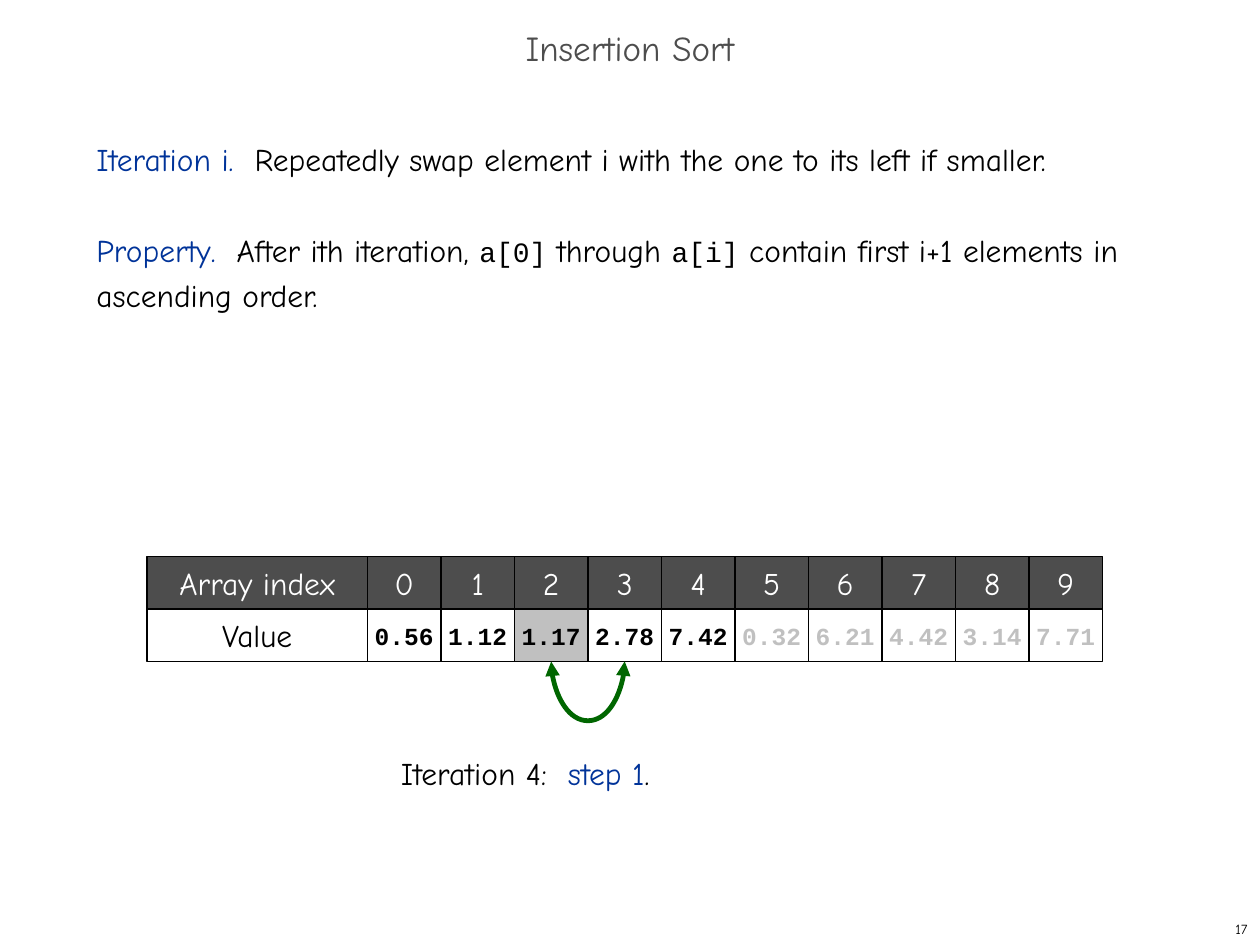
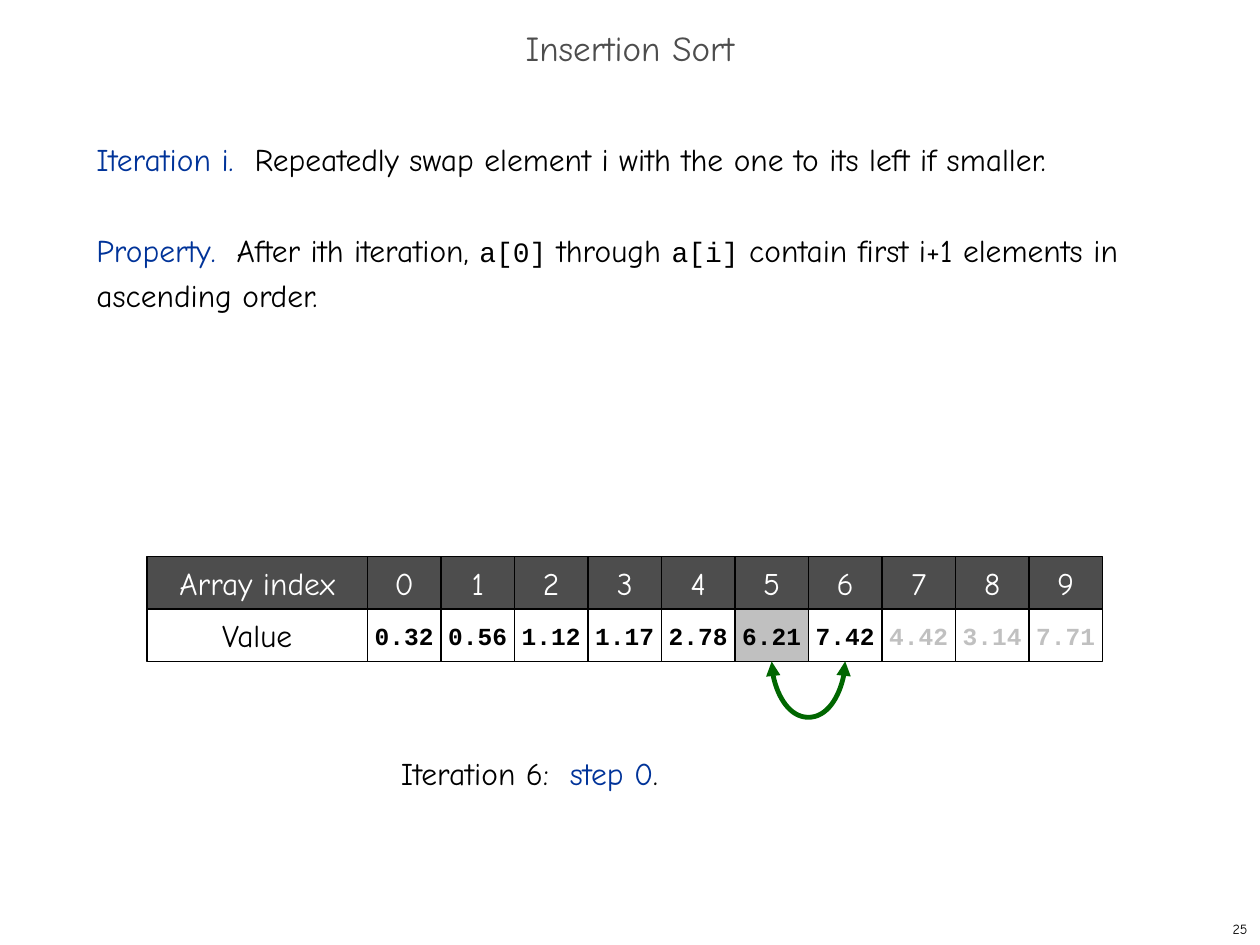
from lxml.etree import SubElement
from pptx import Presentation
from pptx.dml.color import RGBColor
from pptx.enum.shapes import MSO_CONNECTOR, MSO_SHAPE
from pptx.enum.text import MSO_ANCHOR, PP_ALIGN
from pptx.oxml.ns import qn
from pptx.util import Emu, Inches, Pt

UNIT = Inches(1) / 12  # the slide is a grid of 120 columns by 90 rows
COLS, ROWS = 120, 90
BODY, CODE = "Comic Neue", "Courier New"
BLACK, WHITE, DARK, PALE = "000000", "FFFFFF", "4D4D4D", "C0C0C0"
BLUE, GREEN = "003399", "006600"

# Array grid, in columns and rows
LEFT, TOP, LABEL, CELL, HIGH = 14, 53, 21, 7, 5


def grid(*cells):
    return [Emu(round(c * UNIT)) for c in cells]


def color(code):
    return RGBColor.from_string(code)


class Deck:
    def __init__(self):
        self.prs = Presentation()
        self.prs.slide_width, self.prs.slide_height = grid(COLS, ROWS)
        self.slide = None

    def start(self, title, number):
        """Add a slide with its title and page number."""
        self.slide = self.prs.slides.add_slide(self.prs.slide_layouts[6])
        para = self.text((0, 2, COLS, 6), [[(title, DARK, BODY, 20)]],
                         PP_ALIGN.CENTER, MSO_ANCHOR.MIDDLE)[0]
        para.line_spacing = 0.7
        self.text((95, 87, 25, 3), [[(str(number), BLACK, BODY, 8)]],
                  PP_ALIGN.RIGHT, MSO_ANCHOR.MIDDLE)

    def runs(self, para, parts):
        for words, code, font, size in parts:
            run = para.add_run()
            run.text = words
            run.font.name, run.font.size = font, Pt(size)
            run.font.color.rgb = color(code)

    def text(self, box, paras, align=PP_ALIGN.LEFT, anchor=MSO_ANCHOR.TOP):
        frame = self.slide.shapes.add_textbox(*grid(*box)).text_frame
        frame.word_wrap, frame.vertical_anchor = True, anchor
        for i, parts in enumerate(paras):
            para = frame.add_paragraph() if i else frame.paragraphs[0]
            para.alignment = align
            self.runs(para, parts)
        return frame.paragraphs

    def cell(self, col, row, wide, fill, part):
        box = grid(col, row, wide, HIGH)
        shape = self.slide.shapes.add_shape(MSO_SHAPE.RECTANGLE, *box)
        shape.shadow.inherit = False
        shape.fill.solid()
        shape.fill.fore_color.rgb = color(fill)
        shape.line.color.rgb = color(BLACK)
        shape.line.width = Pt(0.75)
        frame = shape.text_frame
        frame.word_wrap, frame.vertical_anchor = False, MSO_ANCHOR.MIDDLE
        para = frame.paragraphs[0]
        para.alignment = PP_ALIGN.CENTER
        self.runs(para, [part])
        para.runs[0].font.bold = part[2] == CODE
        return shape

    def array(self, values, done, mark):
        """Draw the array: the first cells are done, one is marked."""
        low = TOP + HIGH
        self.cell(LEFT, TOP, LABEL, DARK, ("Array index", WHITE, BODY, 18))
        self.cell(LEFT, low, LABEL, WHITE, ("Value", BLACK, BODY, 18))
        cells = []
        for i, value in enumerate(values):
            col = LEFT + LABEL + i * CELL
            self.cell(col, TOP, CELL, DARK, (str(i), WHITE, BODY, 18))
            ink = BLACK if i < done else PALE
            fill = PALE if i == mark else WHITE
            cells.append(self.cell(col, low, CELL, fill, (value, ink, CODE, 14)))
        return cells

    def swap(self, one, two, depth):
        """Hang a two-headed arc below two neighbouring cells."""
        arc = self.slide.shapes.add_connector(MSO_CONNECTOR.CURVE, 0, 0, 0, 0)
        arc.begin_connect(one, 2)
        arc.end_connect(two, 2)
        # A thin upright frame, turned a quarter, lets the bend reach below it
        thin, span = Emu(1588), two.left - one.left
        arc.left = Emu(two.left - thin // 2)
        arc.top = Emu(one.top + one.height - span // 2)
        arc.width, arc.height = thin, Emu(span)
        arc.line.color.rgb = color(GREEN)
        arc.line.width = Pt(2.75)
        props = arc._element.spPr
        frame = props.find(qn("a:xfrm"))
        frame.set("rot", "16200000")
        frame.set("flipH", "1")
        guide = SubElement(props.find(".//" + qn("a:avLst")), qn("a:gd"))
        guide.set("name", "adj1")
        guide.set("fmla", f"val {round(Inches(depth) / thin * 100000)}")
        for end in ("a:headEnd", "a:tailEnd"):
            SubElement(props.find(qn("a:ln")), qn(end)).set("type", "triangle")
        SubElement(props, qn("a:effectLst"))

    def rules(self):
        """State what an iteration does and what it keeps true."""
        paras = self.text((8, 12, 106, 71), [
            [("Iteration i.  ", BLUE, BODY, 18),
             ("Repeatedly swap element i with the one to its left if smaller.",
              BLACK, BODY, 18)],
            [("Property.  ", BLUE, BODY, 18),
             ("After ith iteration, ", BLACK, BODY, 18),
             ("a[0]", BLACK, CODE, 16),
             (" through ", BLACK, BODY, 18),
             ("a[i]", BLACK, CODE, 16),
             (" contain first i+1 elements in ascending order.",
              BLACK, BODY, 18)],
        ])
        for para in paras:
            para.line_spacing = Pt(26)
        paras[1].space_before = Pt(26)

    def note(self, turn, step):
        self.text((37, 71.2, 49, 4.8), [[
            (f"Iteration {turn}:  ", BLACK, BODY, 18),
            (f"step {step}", BLUE, BODY, 18),
            (".", BLACK, BODY, 18),
        ]])


# page, iteration, step, marked cell, arc depth in inches, values
STEPS = [
    (17, 4, 1, 2, 0.52, "0.56 1.12 1.17 2.78 7.42 0.32 6.21 4.42 3.14 7.71"),
    (25, 6, 0, 5, 0.49, "0.32 0.56 1.12 1.17 2.78 6.21 7.42 4.42 3.14 7.71"),
]


def main():
    deck = Deck()
    for page, turn, step, mark, depth, values in STEPS:
        deck.start("Insertion Sort", page)
        deck.rules()
        cells = deck.array(values.split(), turn + 1, mark)
        deck.swap(cells[mark], cells[mark + 1], depth)
        deck.note(turn, step)
    deck.prs.save("out.pptx")


if __name__ == "__main__":
    main()
